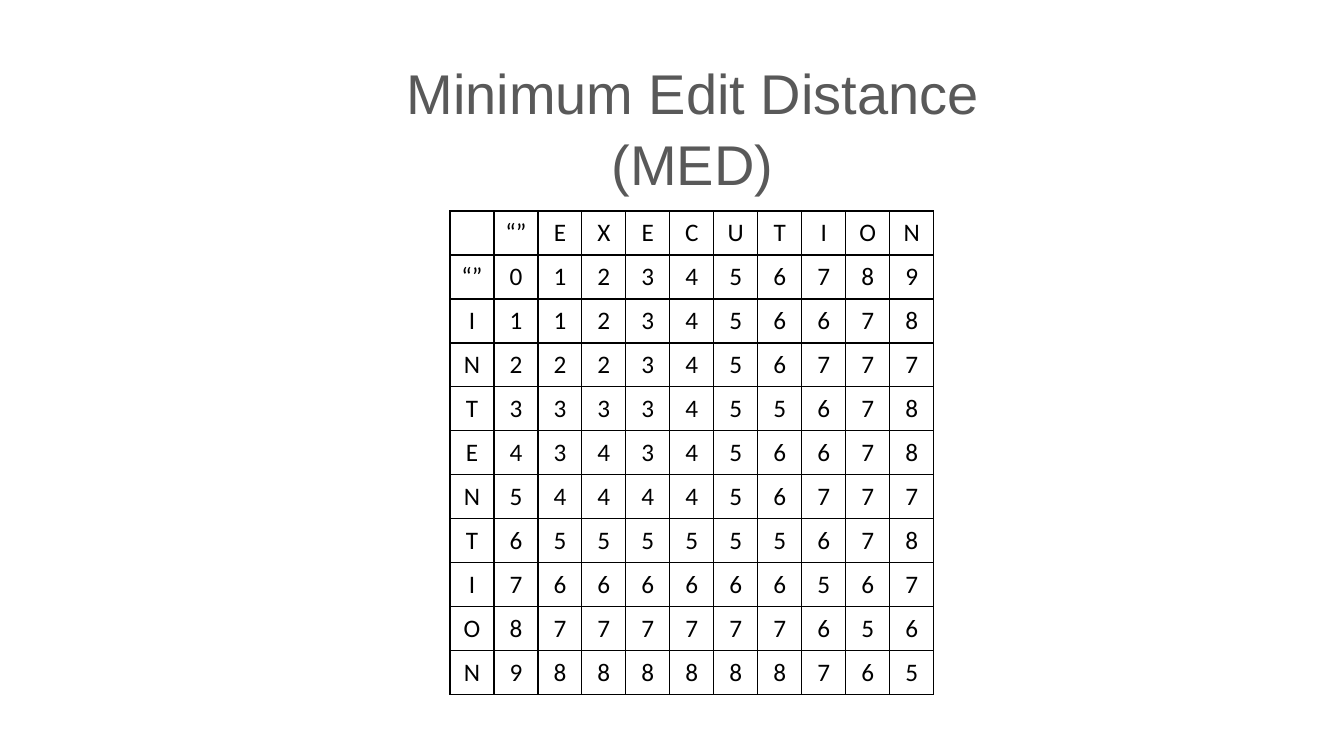
import pptx
import pptx.dml.color
import pptx.enum.text
import pptx.oxml.ns
import pptx.util
from lxml import etree

EMU_PER_PX = 914400 / 100.8
CENTER = pptx.enum.text.PP_ALIGN.CENTER

TITLE_LINES = ["Minimum Edit Distance", "(MED)"]
EMPTY_WORD = "“”"
TARGET = [EMPTY_WORD, *"EXECUTION"]
SOURCE = [EMPTY_WORD, *"INTENTION"]
DISTANCES = [
    "0123456789",
    "1123456678",
    "2223456777",
    "3333455678",
    "4343456678",
    "5444456777",
    "6555555678",
    "7666666567",
    "8777777656",
    "9888888765",
]


def px(length):
    return pptx.util.Emu(round(length * EMU_PER_PX))


def color(value):
    return pptx.dml.color.RGBColor.from_string(value)


class SlideBuilder:
    title_style = ("Arial", 40, "595959")
    cell_style = ("Calibri", 18, "000000")
    border_color = "000000"
    border_points = 1

    def __init__(self, presentation):
        self.slide = presentation.slides.add_slide(presentation.slide_layouts[6])

    def add_run(self, paragraph, text, style):
        name, size, text_color = style
        paragraph.alignment = CENTER
        run = paragraph.add_run()
        run.text = text
        run.font.name = name
        run.font.size = pptx.util.Pt(size)
        run.font.color.rgb = color(text_color)

    def add_title(self, lines, left, top, width, height):
        shape = self.slide.shapes.add_textbox(px(left), px(top), px(width), px(height))
        frame = shape.text_frame
        frame.word_wrap = True
        frame.auto_size = pptx.enum.text.MSO_AUTO_SIZE.SHAPE_TO_FIT_TEXT
        frame.margin_left = frame.margin_right = px(5)
        frame.margin_top = frame.margin_bottom = px(5)
        for index, line in enumerate(lines):
            paragraph = frame.add_paragraph() if index else frame.paragraphs[0]
            paragraph.line_spacing = 1.06
            self.add_run(paragraph, line, self.title_style)

    def add_borders(self, cell):
        properties = cell._tc.get_or_add_tcPr()
        for side in ("a:lnL", "a:lnR", "a:lnT", "a:lnB"):
            line = etree.SubElement(properties, pptx.oxml.ns.qn(side))
            line.set("w", str(pptx.util.Pt(self.border_points)))
            fill = etree.SubElement(line, pptx.oxml.ns.qn("a:solidFill"))
            etree.SubElement(fill, pptx.oxml.ns.qn("a:srgbClr")).set("val", self.border_color)

    def add_grid(self, rows, left, top, cell_size):
        row_count, column_count = len(rows), len(rows[0])
        table = self.slide.shapes.add_table(
            row_count, column_count, px(left), px(top),
            px(cell_size * column_count), px(cell_size * row_count),
        ).table
        table.first_row = False
        table.horz_banding = False
        for column in table.columns:
            column.width = px(cell_size)
        for row, values in zip(table.rows, rows):
            row.height = px(cell_size)
            for cell, value in zip(row.cells, values):
                cell.vertical_anchor = pptx.enum.text.MSO_ANCHOR.MIDDLE
                cell.margin_left = cell.margin_right = px(3)
                cell.margin_top = cell.margin_bottom = px(3)
                self.add_borders(cell)
                cell.fill.background()
                if value:
                    self.add_run(cell.text_frame.paragraphs[0], value, self.cell_style)


def main():
    presentation = pptx.Presentation()
    presentation.slide_width = px(1344)
    presentation.slide_height = px(756)
    builder = SlideBuilder(presentation)
    builder.add_title(TITLE_LINES, 133, 49, 1119, 146)
    rows = [["", *TARGET]]
    rows += [[letter, *values] for letter, values in zip(SOURCE, DISTANCES)]
    builder.add_grid(rows, 450, 211, 44)
    presentation.save("out.pptx")


if __name__ == "__main__":
    main()
